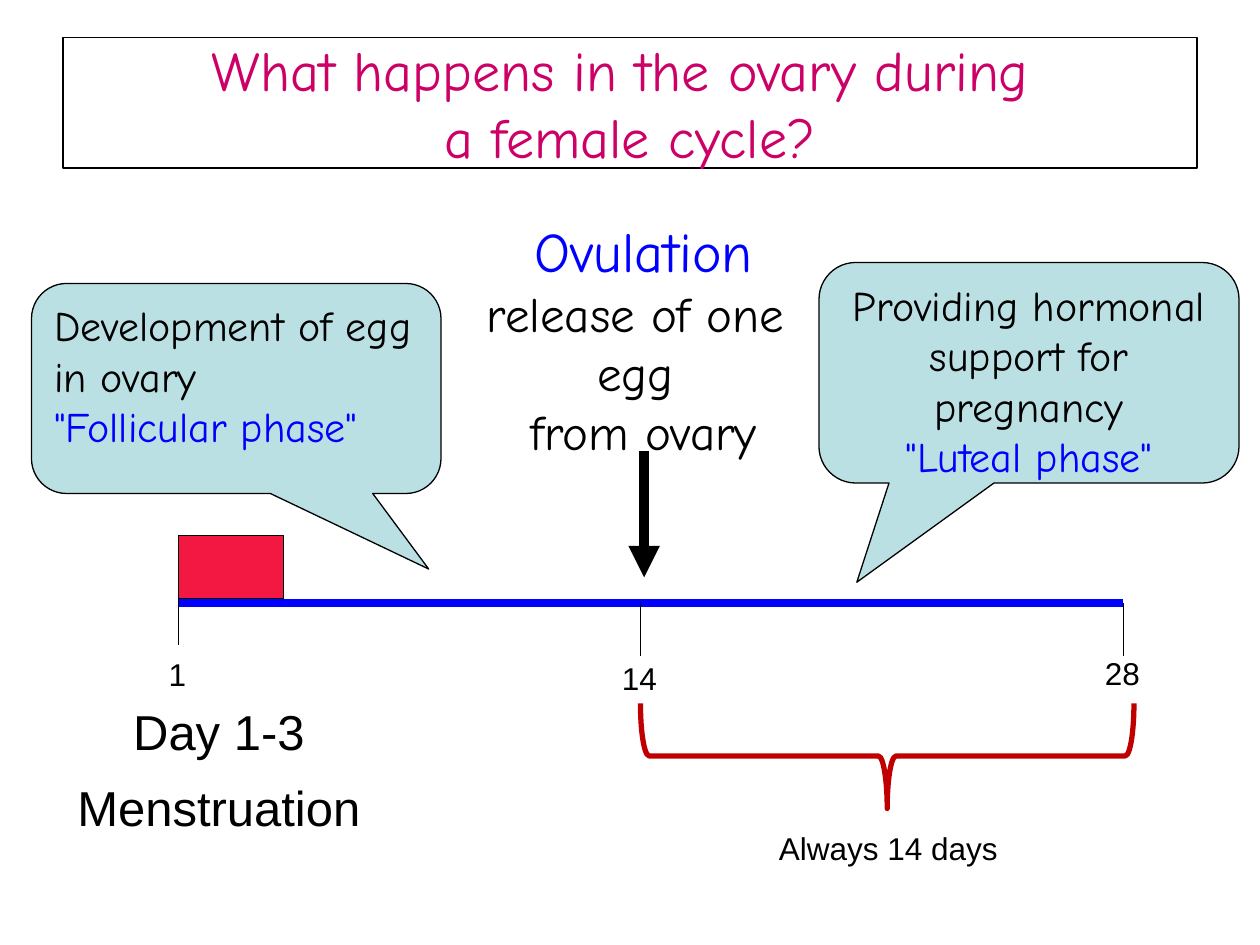
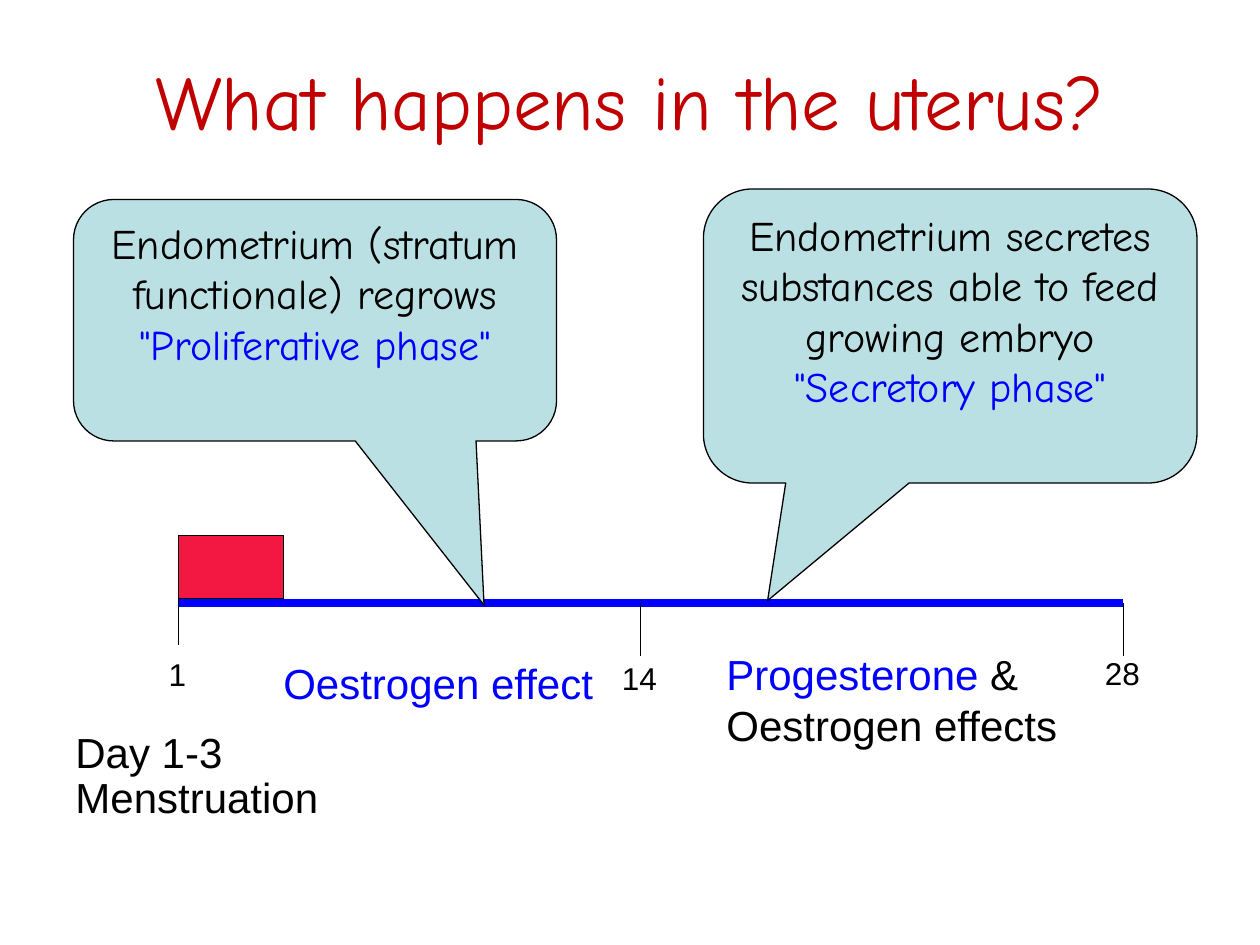
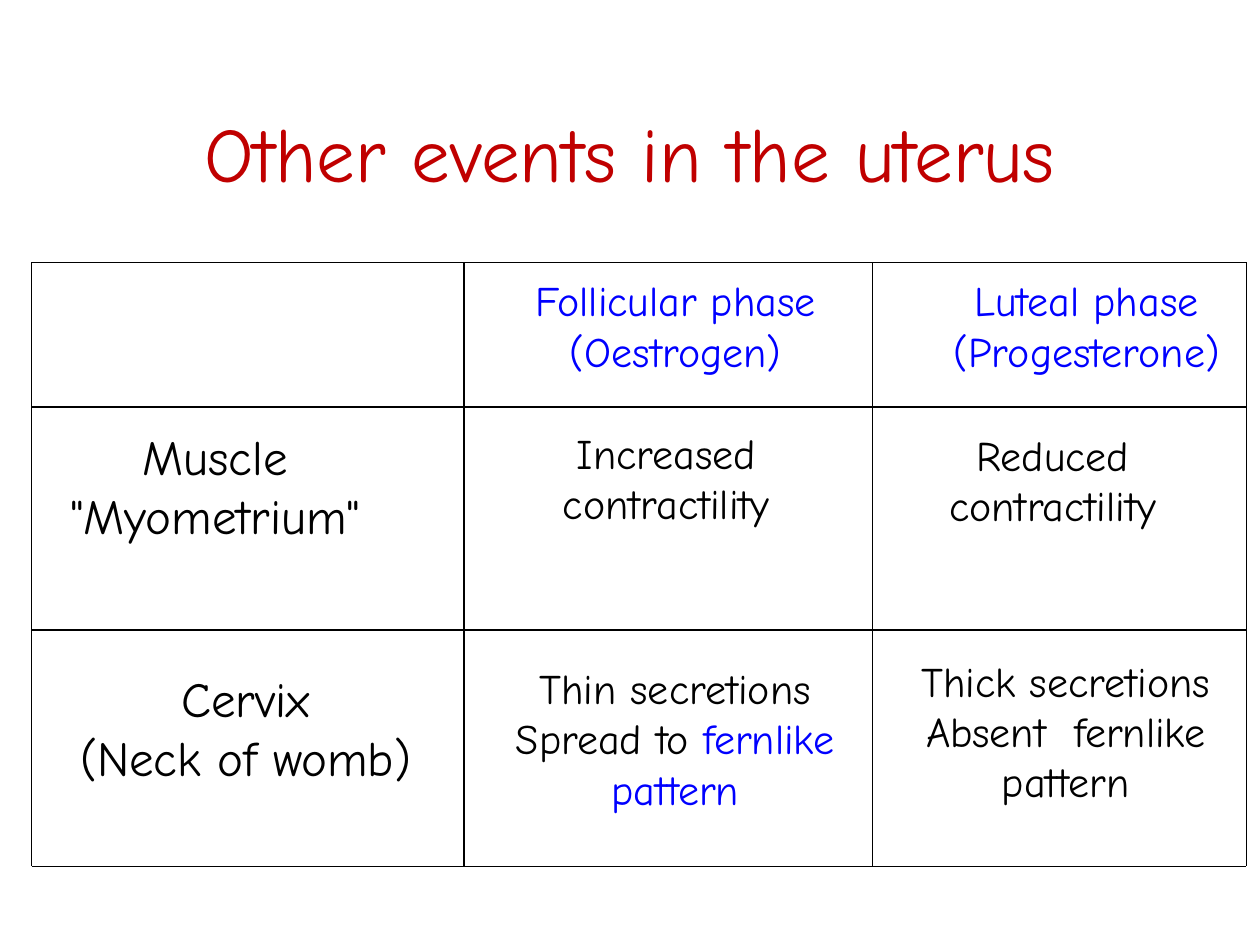
from dataclasses import dataclass
from lxml.etree import SubElement
from pptx import Presentation
from pptx.dml.color import RGBColor
from pptx.enum.shapes import MSO_CONNECTOR, MSO_SHAPE
from pptx.enum.text import MSO_ANCHOR, MSO_AUTO_SIZE, PP_ALIGN
from pptx.oxml.ns import qn
from pptx.util import Inches, Pt


@dataclass(frozen=True)
class Theme:
    pink: str = "CC0066"
    red: str = "C00000"
    blood: str = "F21842"
    blue: str = "0000FF"
    sky: str = "BBE0E3"
    black: str = "000000"
    white: str = "FFFFFF"
    hand: str = "Comic Neue"
    plain: str = "Arial"
    huge: int = 44
    head: int = 32
    large: int = 28
    body: int = 24
    small: int = 18
    thin: float = 0.75


T = Theme()
WIDE, HIGH = 10, 7.5
COLS = 120  # square grid cells across the slide
LEFT, MID = PP_ALIGN.LEFT, PP_ALIGN.CENTER


def grid(n):
    return Inches(n * WIDE / COLS)


@dataclass(frozen=True)
class Box:
    """An area of the slide, measured in grid cells."""
    x: float
    y: float
    w: float
    h: float

    def cut(self, x, y, w, h):
        return Box(self.x + x, self.y + y, w, h)

    def emu(self):
        return [grid(n) for n in (self.x, self.y, self.w, self.h)]


# ---- Shared helpers ----

def tint(name):
    return RGBColor.from_string(name)


def put(frame, paras, size=T.body, face=T.plain, ink=T.black, align=LEFT,
        anchor=MSO_ANCHOR.TOP, wrap=True, gap=0, pitch=None):
    """Write paragraphs; each is a string or a list of (text, colour) runs."""
    frame.auto_size = MSO_AUTO_SIZE.NONE
    frame.word_wrap = wrap
    frame.vertical_anchor = anchor
    for i, runs in enumerate(paras):
        para = frame.paragraphs[0] if i == 0 else frame.add_paragraph()
        para.alignment = align
        para.space_before = Pt(gap if i else 0)
        para.line_spacing = pitch
        for text, color in [(runs, ink)] if isinstance(runs, str) else runs:
            run = para.add_run()
            run.text = text
            run.font.size, run.font.name = Pt(size), face
            run.font.color.rgb = tint(color)


def note(slide, box, paras, fill=None, wrap=False, **look):
    text = slide.shapes.add_textbox(*box.emu())
    if fill:
        text.fill.solid()
        text.fill.fore_color.rgb = tint(fill)
    put(text.text_frame, paras, wrap=wrap, **look)


def draw(slide, kind, box, fill=None, ink=T.black, width=T.thin):
    shape = slide.shapes.add_shape(kind, *box.emu())
    shape.shadow.inherit = False
    if fill:
        shape.fill.solid()
        shape.fill.fore_color.rgb = tint(fill)
    else:
        shape.fill.background()
    shape.line.color.rgb = tint(ink)
    shape.line.width = Pt(width)
    return shape


def rule(slide, box, ink=T.black, width=T.thin, arrow=False):
    line = slide.shapes.add_connector(
        MSO_CONNECTOR.STRAIGHT, grid(box.x), grid(box.y),
        grid(box.x + box.w), grid(box.y + box.h))
    line.line.color.rgb = tint(ink)
    line.line.width = Pt(width)
    if arrow:
        SubElement(line.line._get_or_add_ln(), qn("a:tailEnd"), type="triangle")
    SubElement(line._element.spPr, qn("a:effectLst"))


# ---- Regions ----

def start(deck, box, lines, size=T.huge, ink=T.red, frame=False):
    """Add a slide with its title."""
    slide = deck.slides.add_slide(deck.slide_layouts[5])
    title = slide.shapes.title
    title.left, title.top, title.width, title.height = box.emu()
    title.fill.solid()
    title.fill.fore_color.rgb = tint(T.white)
    if frame:
        title.line.color.rgb = tint(T.black)
        title.line.width = Pt(T.thin)
    put(title.text_frame, lines, size=size, face=T.hand, ink=ink,
        align=MID, anchor=MSO_ANCHOR.MIDDLE)
    return slide


def cycle(slide, box):
    """Day axis from 1 to 28 with the menstruation block."""
    axis = 6.45
    draw(slide, MSO_SHAPE.RECTANGLE, box.cut(0, 0, 10, 6), T.blood)
    rule(slide, box.cut(0, axis, box.w, 0), T.blue, 4.5)
    for day, x, top, label, w in (("1", 0, 5.4, 10.8, 4.1),
                                  ("14", 44, axis, 11.2, 5.8),
                                  ("28", box.w, axis, 10.7, 5.8)):
        rule(slide, box.cut(x, top, 0, 5))
        note(slide, box.cut(x - 0.1 - w / 2, label, w, 4.8), [day],
             size=T.small, align=MID)


def bubble(slide, box, tip, text, phase, align=MID):
    shape = draw(slide, MSO_SHAPE.ROUNDED_RECTANGULAR_CALLOUT, box, T.sky)
    shape.adjustments[0], shape.adjustments[1] = tip
    put(shape.text_frame, [text, [(phase, T.blue)]], face=T.hand, align=align)


def ovum(slide, box):
    """Ovulation text with the arrow down to day 14."""
    rule(slide, box.cut(16.25, 23, 0, 12), width=6, arrow=True)
    note(slide, box, [[("Ovulation", T.blue)]], size=T.head, face=T.hand,
         align=MID)
    note(slide, box.cut(0, 6.4, box.w, 18),
         ["release of one ", "egg ", "from ovary"],
         size=T.large, face=T.hand, align=MID)


def span(slide, box):
    """Brace under the second half of the cycle, with its label."""
    w, h = box.h, box.w  # sides before the quarter turn
    brace = draw(slide, MSO_SHAPE.LEFT_BRACE,
                 box.cut((box.w - w) / 2, (box.h - h) / 2, w, h),
                 ink=T.red, width=3)
    brace.rotation = 270
    note(slide, box.cut(12, 11.4, 23.2, 4.8), ["Always 14 days"], size=T.small)


def ruled(slide, box, cols, rows):
    """Ruled grid with lines at the given offsets."""
    for x in cols:
        rule(slide, box.cut(x, 0, 0, box.h))
    for y in rows:
        rule(slide, box.cut(0, y, box.w, 0))


# ---- Slides ----

AXIS = Box(17, 51, 90, 16)


def ovary(deck):
    slide = start(deck, Box(6, 3.6, 108, 12.4),
                  ["What happens in the ovary during ", "a female cycle?"],
                  size=T.head, ink=T.pink, frame=True)
    cycle(slide, AXIS)
    note(slide, Box(6.2, 66.2, 29.3, 14), ["Day 1-3", "Menstruation"],
         size=T.large, align=MID, gap=10)
    ovum(slide, Box(45.1, 20, 32.4, 24.5))
    bubble(slide, Box(78, 25, 40, 21), (-0.41, 0.95),
           "Providing hormonal support for pregnancy", '"Luteal phase"')
    bubble(slide, Box(3, 27, 39, 20), (0.47, 0.86),
           "Development of egg in ovary", '"Follicular phase"', align=LEFT)
    span(slide, Box(61, 67, 47, 10))


def uterus(deck):
    slide = start(deck, Box(6, 2, 108, 15), ["What happens in the uterus?"])
    cycle(slide, AXIS)
    note(slide, Box(6, 69.1, 33, 10.4), ["Day 1-3", "Menstruation"], pitch=0.9)
    bubble(slide, Box(7, 19, 46, 23), (0.35, 1.18),
           "Endometrium (stratum functionale) regrows",
           '"Proliferative phase"')
    bubble(slide, Box(67, 18, 47, 28), (-0.37, 0.9),
           "Endometrium secretes substances able to feed growing embryo",
           '"Secretory phase"')
    note(slide, Box(25.8, 62, 32, 6), ["Oestrogen effect"], fill=T.white,
         ink=T.blue)
    note(slide, Box(68, 61.2, 34, 10.8),
         [[("Progesterone ", T.blue), ("&", T.black)], "Oestrogen effects"],
         fill=T.white)


def events(deck):
    slide = start(deck, Box(6, 6.95, 108, 15), ["Other events in the uterus"])
    area = Box(3, 25, 115.7, 57.5)
    spread = [("Spread to ", T.black), ("fernlike pattern", T.blue)]

    # Column heads, row heads, then the entries
    for x, w, paras in ((46.7, 29.3, ["Follicular phase", "(Oestrogen)"]),
                        (86.5, 28, ["Luteal phase", "(Progesterone)"])):
        note(slide, area.cut(x, 0.6, w, 10.8), paras, face=T.hand,
             ink=T.blue, align=MID)
    for x, y, w, paras in ((2.5, 15, 30, ["Muscle", '"Myometrium"']),
                           (3.4, 38.1, 34, ["Cervix", "(Neck of womb)"])):
        note(slide, area.cut(x, y, w, 12.5), paras, size=T.large,
             face=T.hand, align=MID)
    for x, y, w, h, paras in (
            (49.4, 15.1, 22.1, 10.8, ["Increased", "contractility"]),
            (86.2, 15.3, 22.1, 10.8, ["Reduced", "contractility"]),
            (44.5, 37.5, 33.6, 15.6, ["Thin secretions", spread]),
            (80, 36.8, 37, 15.6,
             ["Thick secretions", "Absent  fernlike pattern"])):
        note(slide, area.cut(x, y, w, h), paras, face=T.hand, align=MID,
             wrap=w > 30)
    ruled(slide, area, (0, 41.2, 80.1, area.w), (0, 13.75, 35, area.h))


def main():
    deck = Presentation()
    deck.slide_width, deck.slide_height = Inches(WIDE), Inches(HIGH)
    for build in (ovary, uterus, events):
        build(deck)
    deck.save("out.pptx")


if __name__ == "__main__":
    main()
